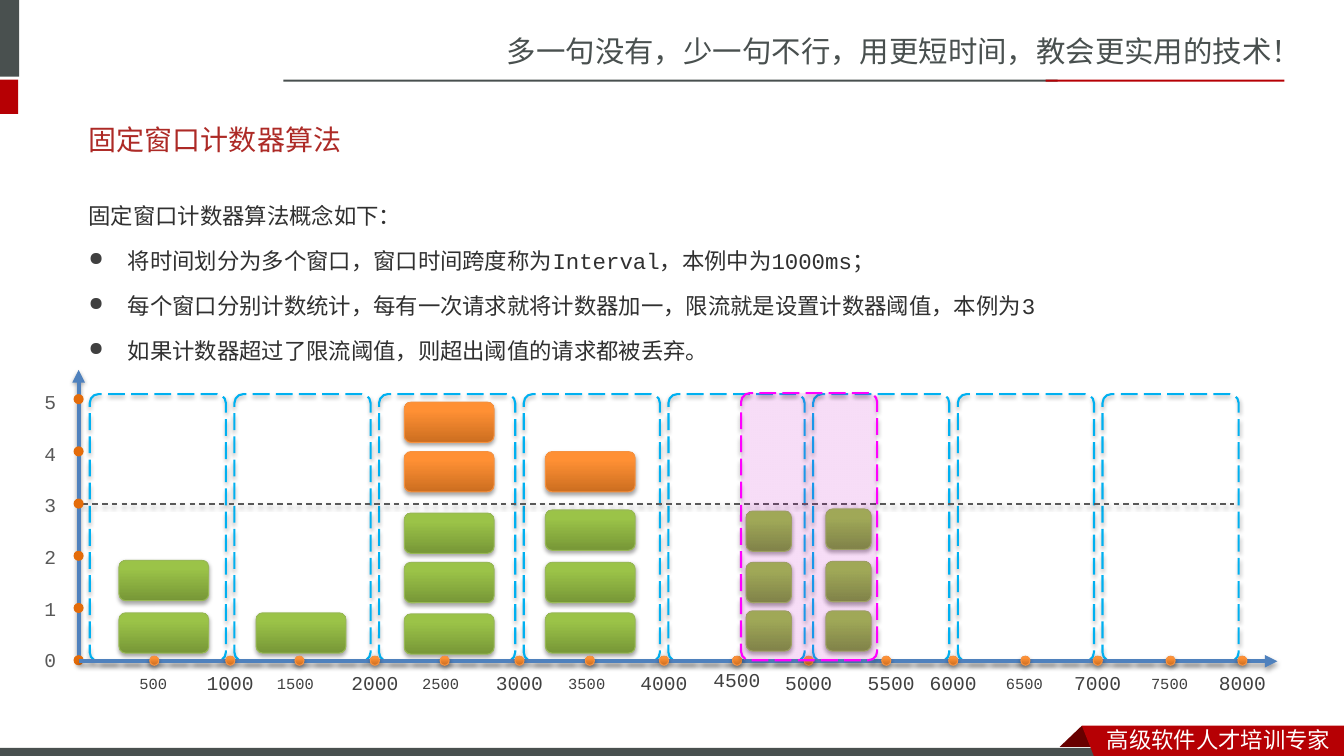
from dataclasses import dataclass

from pptx import Presentation
from pptx.dml.color import RGBColor
from pptx.enum.dml import MSO_LINE
from pptx.enum.shapes import MSO_CONNECTOR, MSO_SHAPE
from pptx.enum.text import MSO_ANCHOR, PP_ALIGN
from pptx.oxml import parse_xml
from pptx.oxml.ns import nsdecls
from pptx.oxml.xmlchemy import OxmlElement
from pptx.util import Inches, Pt


@dataclass(frozen=True)
class Theme:
    slate: str = "49504F"
    red: str = "B60004"
    fold: str = "680000"
    white: str = "FFFFFF"
    title: str = "AD2A26"
    body: str = "303030"
    time_label: str = "404040"
    count_label: str = "595959"
    axis: str = "4F81BD"
    window: str = "00B0F0"
    sliding: str = "FF00FF"
    count_dot: str = "E46C0A"
    accepted: tuple = ("779737", "9BC348", "98B955")
    rejected: tuple = ("CC6E20", "FF9034", "F69240")
    chinese: str = "Noto Sans CJK SC"
    heading: str = "Arial"
    mono: str = "Courier New"
    slogan_size: float = 21
    title_size: float = 20
    body_size: float = 16
    label_size: float = 14
    half_size: float = 11


THEME = Theme()
WINDOW_STEP = 1.435
BLOCK_HEIGHT = 0.4
BLOCK_STACKS = [
    (1.18, 0.89, [6.08, 5.56], []),
    (2.54, 0.89, [6.08], []),
    (4.01, 0.89, [6.09, 5.58, 5.09], [4.48, 3.99]),
    (5.41, 0.89, [6.08, 5.58, 5.06], [4.48]),
    (7.4, 0.45, [6.06, 5.58, 5.07], []),
    (8.19, 0.45, [6.06, 5.57, 5.05], []),
]
HALF_TICKS = [
    ("500", 1.53, 1.52), ("1500", 2.97, 2.93), ("2500", 4.41, 4.37),
    ("3500", 5.85, 5.82), ("6500", 10.17, 10.16), ("7500", 11.61, 11.6),
]
BOUNDARY_TICKS = [("4500", 7.31, 7.31, 6.58), ("5500", 8.79, 8.84, 6.61)]
CONCEPTS = [
    "将时间划分为多个窗口，窗口时间跨度称为Interval，本例中为1000ms；",
    "每个窗口分别计数统计，每有一次请求就将计数器加一，限流就是设置计数器阈值，本例为3",
    "如果计数器超过了限流阈值，则超出阈值的请求都被丢弃。",
]


def color(value):
    return RGBColor.from_string(value)


def write(para, text, *, size, fill, font=THEME.chinese, align=PP_ALIGN.LEFT):
    para.alignment = align
    span = para.add_run()
    span.text = text
    span.font.size = Pt(size)
    span.font.name = font
    span.font.color.rgb = color(fill)
    east_asian = OxmlElement("a:ea")
    east_asian.set("typeface", THEME.chinese)
    span.font._element.find("{*}latin").addnext(east_asian)


def add_box(page, left, top, width, height, wrap=True):
    box = page.shapes.add_textbox(Inches(left), Inches(top), Inches(width), Inches(height))
    box.text_frame.word_wrap = wrap
    return box.text_frame


def add_label(page, text, center, top, **style):
    width = 0.7
    frame = add_box(page, center - width / 2, top, width, 0.34, wrap=False)
    write(frame.paragraphs[0], text, font=THEME.mono, align=PP_ALIGN.CENTER, **style)


def cast_shadow(effects):
    effects.append(parse_xml(
        f'<a:outerShdw {nsdecls("a")} blurRad="40000" dist="23000" dir="5400000" rotWithShape="0">'
        '<a:srgbClr val="000000"><a:alpha val="35000"/></a:srgbClr></a:outerShdw>'))


def add_shape(page, kind, left, top, width, height, fill=None):
    shape = page.shapes.add_shape(kind, Inches(left), Inches(top), Inches(width), Inches(height))
    shape.shadow.inherit = False
    shape.line.fill.background()
    if fill:
        shape.fill.solid()
        shape.fill.fore_color.rgb = color(fill)
    else:
        shape.fill.background()
    return shape


def add_glossy(page, kind, left, top, width, height, palette):
    shape = add_shape(page, kind, left, top, width, height)
    dark, light, edge = palette
    shape.fill.gradient()
    shape.fill.gradient_angle = 90
    for stop, position, tone in zip(shape.fill.gradient_stops, (0, 0.8), (dark, light)):
        stop.position = position
        stop.color.rgb = color(tone)
    shape.line.color.rgb = color(edge)
    shape.line.width = Pt(0.75)
    cast_shadow(shape._element.spPr.find("{*}effectLst"))


def add_window(page, left, top, edge, fill=None):
    window = add_shape(page, MSO_SHAPE.ROUNDED_RECTANGLE, left, top, 1.35, 2.65, fill)
    window.adjustments[0] = 0.065
    window.line.color.rgb = color(edge)
    window.line.width = Pt(1.5)
    window.line.dash_style = MSO_LINE.LONG_DASH
    cast_shadow(window._element.spPr.find("{*}effectLst"))
    return window


def add_line(page, start, end, tone, width, dash=None, arrow=False):
    line = page.shapes.add_connector(MSO_CONNECTOR.STRAIGHT, *map(Inches, start + end))
    line.line.color.rgb = color(tone)
    line.line.width = Pt(width)
    if dash:
        line.line.dash_style = dash
    if arrow:
        head = OxmlElement("a:tailEnd")
        head.set("type", "triangle")
        line.line._get_or_add_ln().append(head)
    effects = OxmlElement("a:effectLst")
    line._element.spPr.append(effects)
    cast_shadow(effects)


def add_polygon(page, points, fill):
    corners = [(Inches(x), Inches(y)) for x, y in points]
    builder = page.shapes.build_freeform(*corners[0])
    builder.add_line_segments(corners[1:], close=True)
    shape = builder.convert_to_shape()
    shape.shadow.inherit = False
    shape.fill.solid()
    shape.fill.fore_color.rgb = color(fill)
    shape.line.fill.background()


def add_frame(page):
    slogan = add_box(page, 4.93, 0.28, 8.4, 0.47)
    write(slogan.paragraphs[0], "多一句没有，少一句不行，用更短时间，教会更实用的技术！",
          size=THEME.slogan_size, fill=THEME.slate)
    for left, top, width, height, fill in [
        (0, 0, 0.19, 0.76, THEME.slate), (0, 0.79, 0.18, 0.34, THEME.red),
        (2.81, 0.79, 7.68, 0.02, THEME.slate), (10.37, 0.79, 2.37, 0.02, THEME.red),
        (0, 7.42, 10.99, 0.08, THEME.slate),
    ]:
        add_shape(page, MSO_SHAPE.RECTANGLE, left, top, width, height, fill)
    add_polygon(page, [(10.73, 7.2), (10.95, 7.41), (10.51, 7.41)], THEME.fold)
    add_polygon(page, [(10.73, 7.2), (13.33, 7.2), (13.33, 7.5), (10.85, 7.5)], THEME.red)
    footer = add_box(page, 10.88, 7.15, 2.45, 0.37)
    write(footer.paragraphs[0], "高级软件人才培训专家", size=THEME.body_size, fill=THEME.white)


def add_title(page):
    title = page.shapes.title
    title.left, title.top, title.width, title.height = map(Inches, (0.78, 1.1, 11.7, 0.57))
    title.text_frame.vertical_anchor = MSO_ANCHOR.MIDDLE
    write(title.text_frame.paragraphs[0], "固定窗口计数器算法",
          size=THEME.title_size, fill=THEME.title, font=THEME.heading)


def add_bullet(para):
    properties = para._p.get_or_add_pPr()
    properties.set("marL", str(Inches(0.39)))
    properties.set("indent", str(-Inches(0.39)))
    for markup in (f'buClr {nsdecls("a")}><a:srgbClr val="{THEME.time_label}"/></a:buClr',
                   f'buSzPct {nsdecls("a")} val="85000"/', f'buChar {nsdecls("a")} char="●"/'):
        properties.append(parse_xml(f"<a:{markup}>"))


def add_concepts(page):
    frame = add_box(page, 0.78, 1.78, 11.76, 1.9)
    for index, text in enumerate(["固定窗口计数器算法概念如下：", *CONCEPTS]):
        para = frame.add_paragraph() if index else frame.paragraphs[0]
        para.line_spacing = Pt(32)
        if index:
            add_bullet(para)
        write(para, text, size=THEME.body_size, fill=THEME.body, font=THEME.mono)


def add_count_axis(page):
    add_line(page, (0.78, 6.58), (0.78, 3.67), THEME.axis, 3, arrow=True)
    for count in range(6):
        add_label(page, str(count), 0.5, 6.38 - 0.512 * count,
                  size=THEME.label_size, fill=THEME.count_label)
        add_shape(page, MSO_SHAPE.OVAL, 0.73, 6.5 - 0.518 * count, 0.1, 0.1, THEME.count_dot)


def add_time_axis(page):
    add_line(page, (0.78, 6.56), (12.67, 6.56), THEME.axis, 3, arrow=True)
    ticks = []
    for second in range(1, 9):
        center = 0.85 + 1.434 * second
        ticks.append((str(second * 1000), center, center, 6.61, THEME.label_size))
    ticks += [(*tick, THEME.label_size) for tick in BOUNDARY_TICKS]
    ticks += [(*tick, 6.64, THEME.half_size) for tick in HALF_TICKS]
    for text, dot, center, top, size in ticks:
        add_glossy(page, MSO_SHAPE.OVAL, dot - 0.045, 6.51, 0.09, 0.09, THEME.rejected)
        add_label(page, text, center, top, size=size, fill=THEME.time_label)


def add_requests(page):
    for left, width, accepted, rejected in BLOCK_STACKS:
        for tops, palette in ((accepted, THEME.accepted), (rejected, THEME.rejected)):
            for top in tops:
                add_glossy(page, MSO_SHAPE.ROUNDED_RECTANGLE, left, top, width, BLOCK_HEIGHT, palette)


def add_sliding_window(page):
    window = add_window(page, 7.35, 3.9, THEME.sliding, THEME.sliding)
    alpha = OxmlElement("a:alpha")
    alpha.set("val", "10000")
    window._element.spPr.find("{*}solidFill/{*}srgbClr").append(alpha)


def main():
    deck = Presentation()
    deck.slide_width, deck.slide_height = Inches(13.33), Inches(7.5)
    page = deck.slides.add_slide(deck.slide_layouts[5])
    add_frame(page)
    for index in range(8):
        add_window(page, 0.89 + WINDOW_STEP * index, 3.91, THEME.window)
    add_line(page, (0.82, 5), (12.24, 5), THEME.count_label, 1, dash=MSO_LINE.DASH)
    add_concepts(page)
    add_title(page)
    add_count_axis(page)
    add_requests(page)
    add_time_axis(page)
    add_sliding_window(page)
    deck.save("out.pptx")


if __name__ == "__main__":
    main()
